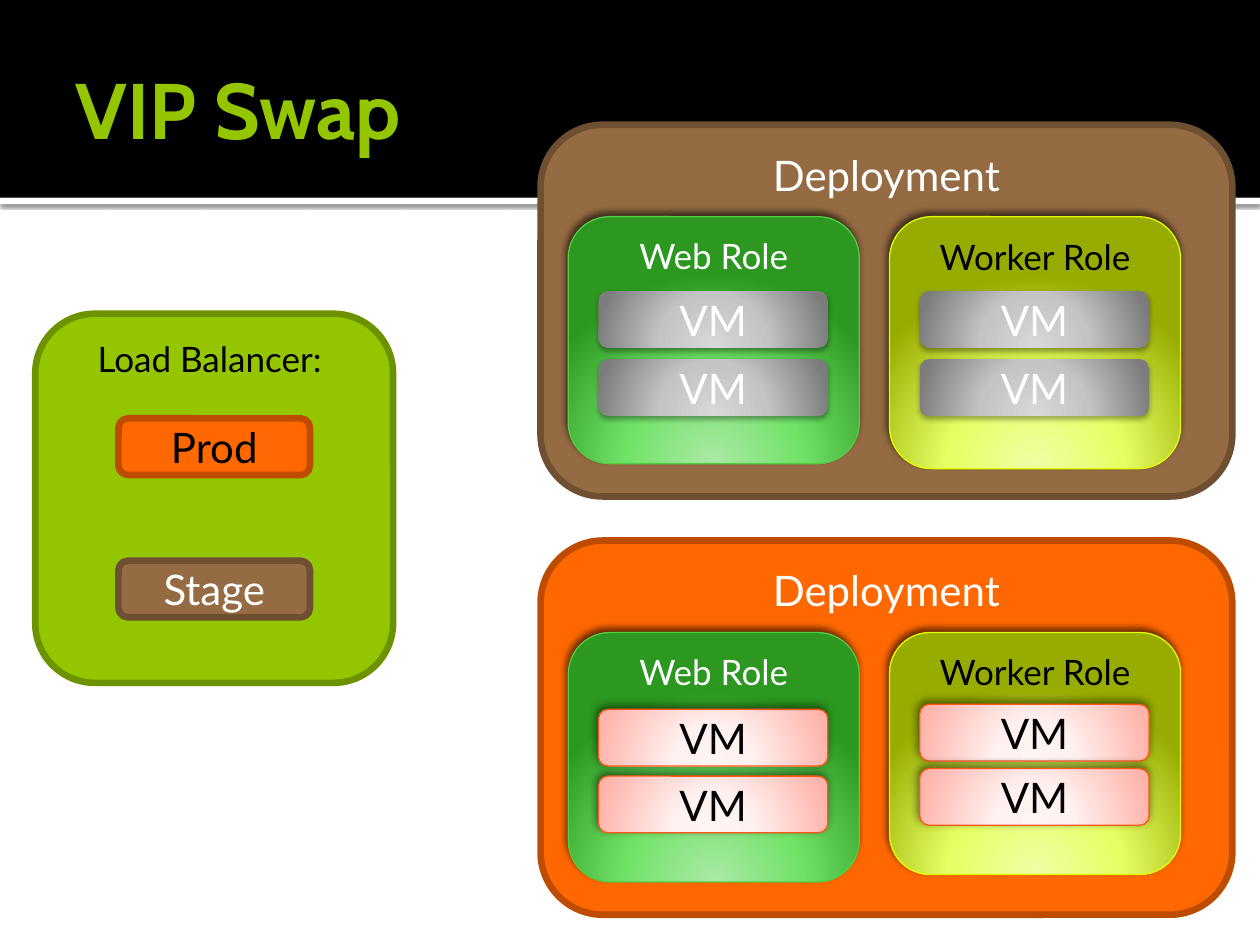
from collections import namedtuple
from lxml.etree import SubElement
from pptx import Presentation
from pptx.dml.color import RGBColor
from pptx.enum.shapes import MSO_SHAPE
from pptx.enum.text import MSO_ANCHOR, MSO_AUTO_SIZE, PP_ALIGN
from pptx.oxml.ns import qn
from pptx.util import Inches, Pt

Box = namedtuple("Box", "left top width height")
Style = namedtuple("Style", "fill line line_width shadow text")
Shadow = namedtuple("Shadow", "alpha blur distance angle")

BLACK = RGBColor(0x00, 0x00, 0x00)
WHITE = RGBColor(0xFF, 0xFF, 0xFF)
LIME = RGBColor(0x94, 0xC6, 0x00)
DARK_LIME = RGBColor(0x6D, 0x92, 0x00)
BROWN = RGBColor(0x95, 0x6B, 0x43)
DARK_BROWN = RGBColor(0x6E, 0x4F, 0x32)
ORANGE = RGBColor(0xFF, 0x67, 0x00)
DARK_ORANGE = RGBColor(0xBD, 0x4C, 0x00)
GREEN_EDGE = RGBColor(0x53, 0xCC, 0x46)
YELLOW_EDGE = RGBColor(0xE2, 0xFE, 0x00)
RED_EDGE = RGBColor(0xFF, 0x58, 0x14)
GREEN_GLOW = ((0, RGBColor(0xAB, 0xE9, 0xA6)), (46, RGBColor(0x71, 0xE2, 0x68)),
              (100, RGBColor(0x2C, 0x98, 0x20)))
YELLOW_GLOW = ((0, RGBColor(0xEE, 0xFF, 0xA5)), (46, RGBColor(0xE6, 0xFF, 0x63)),
               (100, RGBColor(0x98, 0xAB, 0x00)))
GRAY_GLOW = ((0, RGBColor(0xD8, 0xD8, 0xD8)), (46, RGBColor(0xC4, 0xC4, 0xC4)),
             (100, RGBColor(0x7C, 0x7C, 0x7C)))
PINK_GLOW = ((0, RGBColor(0xFF, 0xF5, 0xF4)), (34, RGBColor(0xFF, 0xF1, 0xEF)),
             (100, RGBColor(0xFF, 0xB4, 0xAB)))

BAND_SHADOW = Shadow(60, 2.5, 0.8, 90)
ROLE_SHADOW = Shadow(60, 4, 3, 245)
BAND = Style(BLACK, None, 0, None, WHITE)
BAND_EDGE = Style(WHITE, None, 0, BAND_SHADOW, BLACK)
BALANCER = Style(LIME, DARK_LIME, 3.78, None, BLACK)
STAGE = Style(BROWN, DARK_BROWN, 3.78, None, WHITE)
PROD = Style(ORANGE, DARK_ORANGE, 3.78, None, BLACK)
WEB = Style(GREEN_GLOW, GREEN_EDGE, 0.75, ROLE_SHADOW, WHITE)
WORKER = Style(YELLOW_GLOW, YELLOW_EDGE, 0.75, ROLE_SHADOW, BLACK)
GRAY_VM = Style(GRAY_GLOW, None, 0, Shadow(35, 3.1, 1.8, 90), WHITE)
PINK_VM = Style(PINK_GLOW, RED_EDGE, 0.75, Shadow(50, 5, 2, 245), BLACK)


def inside(box, left, top, width, height):
    return Box(box.left + left, box.top + top, width, height)


def write_text(shape, text, *, size, color, font="Lato", bold=False,
               align=PP_ALIGN.CENTER, anchor=MSO_ANCHOR.MIDDLE, right=0.1):
    frame = shape.text_frame
    frame.word_wrap = True
    frame.auto_size = MSO_AUTO_SIZE.NONE
    frame.vertical_anchor = anchor
    frame.margin_left, frame.margin_right = Inches(0.1), Inches(right)
    frame.margin_top = frame.margin_bottom = Inches(0.05)
    paragraph = frame.paragraphs[0]
    paragraph.alignment = align
    run = paragraph.add_run()
    run.text = text
    run.font.name, run.font.size, run.font.bold = font, Pt(size), bold
    run.font.color.rgb = color


def add_color(parent, color):
    return SubElement(parent, qn("a:srgbClr"), val=str(color))


def fill_glow(shape, stops):
    shape.fill.gradient()
    gradient = shape._element.spPr.find(qn("a:gradFill"))
    for child in list(gradient):
        gradient.remove(child)
    stop_list = SubElement(gradient, qn("a:gsLst"))
    for position, color in stops:
        add_color(SubElement(stop_list, qn("a:gs"), pos=str(position * 1000)), color)
    circle = SubElement(gradient, qn("a:path"), path="circle")
    SubElement(circle, qn("a:fillToRect"), l="50000", t="155000", r="50000", b="-55000")


def add_shadow(shape, shadow):
    effects = shape._element.spPr.find(qn("a:effectLst"))
    outer = SubElement(effects, qn("a:outerShdw"), blurRad=str(Pt(shadow.blur)),
                       dist=str(Pt(shadow.distance)), dir=str(shadow.angle * 60000),
                       algn="ctr", rotWithShape="0")
    SubElement(add_color(outer, BLACK), qn("a:alpha"), val=str(shadow.alpha * 1000))


def add_block(slide, box, style, text="", kind=MSO_SHAPE.ROUNDED_RECTANGLE,
              size=24, anchor=MSO_ANCHOR.MIDDLE):
    shape = slide.shapes.add_shape(kind, *map(Inches, box))
    if isinstance(style.fill, RGBColor):
        shape.fill.solid()
        shape.fill.fore_color.rgb = style.fill
    else:
        fill_glow(shape, style.fill)
    if style.line is None:
        shape.line.fill.background()
    else:
        shape.line.color.rgb = style.line
        shape.line.width = Pt(style.line_width)
    shape.shadow.inherit = False
    if style.shadow:
        add_shadow(shape, style.shadow)
    if text:
        write_text(shape, text, size=size, color=style.text, anchor=anchor)


def add_header(slide, box):
    add_block(slide, inside(box, 0, box.height, box.width, 0.05), BAND_EDGE,
              kind=MSO_SHAPE.RECTANGLE)
    add_block(slide, box, BAND, kind=MSO_SHAPE.RECTANGLE)
    title = slide.shapes.title
    slide.shapes._spTree.append(title._element)
    title.left, title.top, title.width, title.height = map(
        Inches, inside(box, 0.5, 0.17, 9, 1.37))
    write_text(title, "VIP Swap", size=45, color=LIME, font="Cabin", bold=True,
               align=PP_ALIGN.LEFT, right=0.05)


def add_load_balancer(slide, box):
    add_block(slide, box, BALANCER, "Load Balancer: ", size=20, anchor=MSO_ANCHOR.TOP)
    for text, style, top in (("Stage", STAGE, 1.96), ("Prod", PROD, 0.83)):
        add_block(slide, inside(box, 0.66, top, 1.52, 0.45), style, text)


def add_role(slide, box, name, style, vm_style, vm_tops):
    add_block(slide, box, style, name, size=20, anchor=MSO_ANCHOR.TOP)
    for top in vm_tops:
        add_block(slide, inside(box, 0.24, top, 1.82, 0.45), vm_style, "VM")


def add_deployment(slide, box, style, vm_style, role_heights, vm_tops):
    add_block(slide, box, style, "Deployment", anchor=MSO_ANCHOR.TOP)
    roles = (("Web Role", WEB), ("Worker Role", WORKER))
    for column, (name, role_style) in enumerate(roles):
        role_box = inside(box, 0.22 + 2.55 * column, 0.73, 2.31, role_heights[column])
        add_role(slide, role_box, name, role_style, vm_style, vm_tops[column])


def main():
    presentation = Presentation()
    presentation.slide_width, presentation.slide_height = Inches(10), Inches(7.5)
    slide = presentation.slides.add_slide(presentation.slide_layouts[5])
    add_header(slide, Box(0, 0, 10, 1.57))
    add_load_balancer(slide, Box(0.28, 2.49, 2.84, 2.93))
    add_deployment(slide, Box(4.29, 0.99, 5.49, 2.95), STAGE, GRAY_VM,
                   (1.96, 2), ((0.59, 1.13), (0.59, 1.13)))
    add_deployment(slide, Box(4.29, 4.29, 5.49, 2.97), PROD._replace(text=WHITE), PINK_VM,
                   (1.98, 1.92), ((0.61, 1.14), (0.57, 1.08)))
    presentation.save("out.pptx")


if __name__ == "__main__":
    main()
